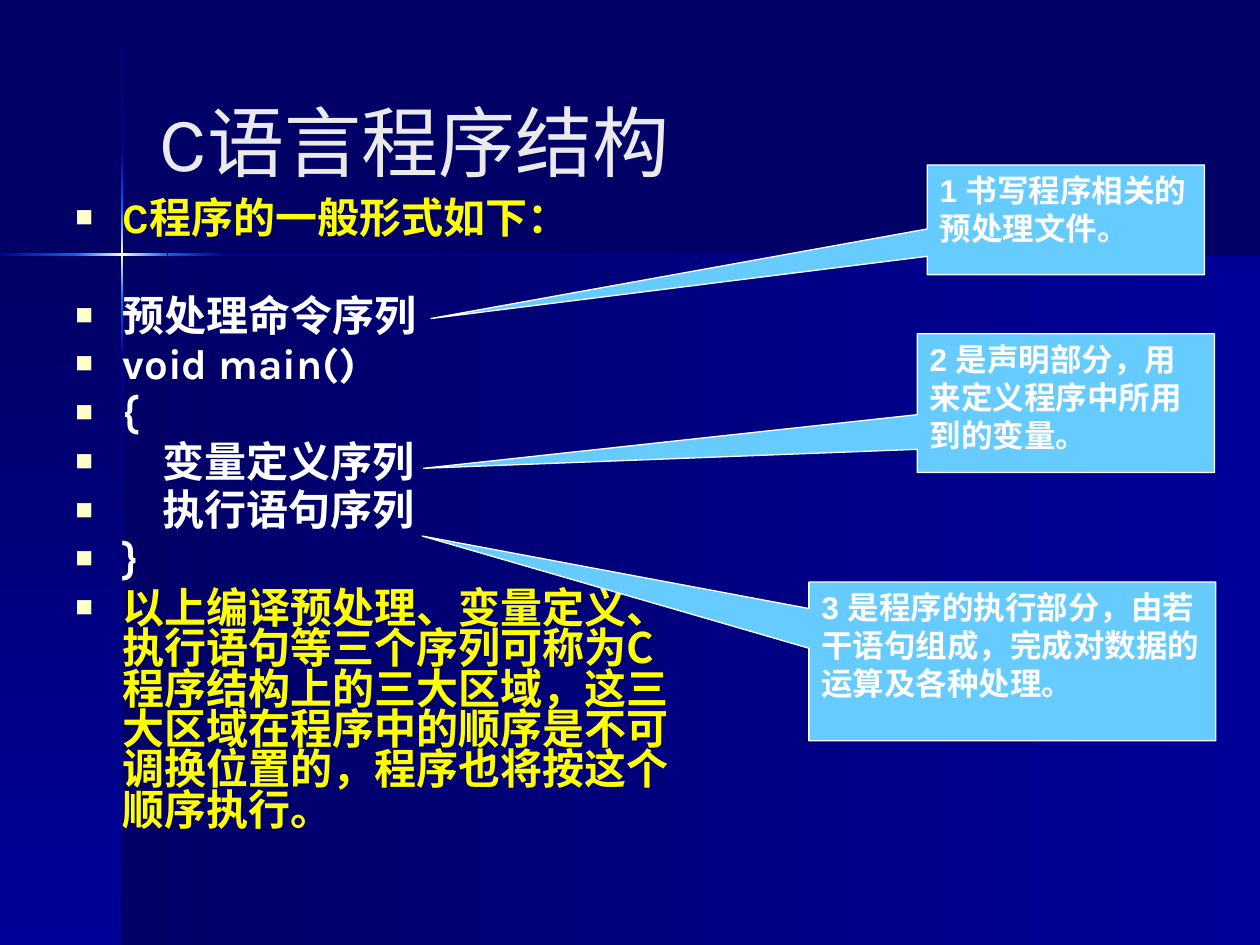
import pptx
import pptx.dml.color
import pptx.enum.shapes
import pptx.enum.text
import pptx.oxml.ns
import pptx.util
import lxml.etree

qn = pptx.oxml.ns.qn
SHAPES = pptx.enum.shapes.MSO_SHAPE
ANCHOR = pptx.enum.text.MSO_ANCHOR
NAVY, BLUE, BRIGHT, CREAM = "000066", "000099", "0066FF", "FFFFCC"
WHITE, YELLOW, SKY, SILVER = "FFFFFF", "FFFF00", "66CCFF", "EAEAEA"


def colour(value):
    return pptx.dml.color.RGBColor.from_string(value)


def write(frame, text, size=18, font="Arial", color=WHITE, bold=False,
          before=0, spacing=1.0, indent=0, bullet=None):
    para = frame.paragraphs[0]
    if para.runs:
        para = frame.add_paragraph()
    para.alignment = pptx.enum.text.PP_ALIGN.LEFT
    para.line_spacing = spacing
    para.space_before = pptx.util.Pt(before)
    span = para.add_run()
    span.text = text
    span.font.size = pptx.util.Pt(size)
    span.font.name = font
    span.font.bold = bold
    span.font.color.rgb = colour(color)
    if bullet:
        props = para._p.get_or_add_pPr()
        props.set("marL", str(int(indent)))
        props.set("indent", str(-int(indent)))
        tint = lxml.etree.SubElement(props, qn("a:buClr"))
        lxml.etree.SubElement(tint, qn("a:srgbClr"), val=CREAM)
        lxml.etree.SubElement(props, qn("a:buSzPct"), val="70000")
        lxml.etree.SubElement(props, qn("a:buFont"), typeface="Arial")
        lxml.etree.SubElement(props, qn("a:buChar"), char=bullet)


deck = pptx.Presentation()
deck.slide_width = pptx.util.Inches(10)
deck.slide_height = pptx.util.Inches(7.5)
page = deck.slides.add_slide(deck.slide_layouts[6])
page.background.fill.solid()
page.background.fill.fore_color.rgb = colour(NAVY)

# Grid of 100 columns by 75 rows
column = deck.slide_width / 100
row = deck.slide_height / 75
cross_x, cross_y, thick = 9.6, 20.1, 0.2

# Background panels and the glowing cross: left, top, width, height, downward, colours
bands = [
    (9.7, 20.2, 90.3, 54.8, False, (NAVY, BLUE)),
    (0, 20.2, 9.7, 54.8, True, (NAVY, BLUE)),
]
vertical = [
    (0.1, 12.1, (NAVY, BLUE)),
    (28.2, 75, (BLUE, NAVY)),
    (23.8, 28.2, (BRIGHT, BLUE)),
    (12.1, 16.5, (BLUE, BRIGHT)),
    (16.5, 23.8, (BRIGHT, CREAM, BRIGHT)),
]
horizontal = [
    (17.7, 100, (BLUE, NAVY)),
    (0, 6.1, (BLUE, BRIGHT)),
    (13.3, 17.7, (BRIGHT, BLUE)),
    (6, 13.3, (BRIGHT, CREAM, BRIGHT)),
]
bands += [(cross_x, start, thick, end - start, True, tones) for start, end, tones in vertical]
bands += [(start, cross_y, end - start, thick, False, tones) for start, end, tones in horizontal]

for left, top, width, height, downward, tones in bands:
    band = page.shapes.add_shape(SHAPES.RECTANGLE, int(left * column), int(top * row),
                                 int(width * column), int(height * row))
    band.shadow.inherit = False
    band.line.fill.background()
    band.fill.gradient()
    band.fill.gradient_angle = 270 if downward else 0
    stops = band._element.spPr.find(".//" + qn("a:gsLst"))
    for stop in list(stops):
        stops.remove(stop)
    for number, tone in enumerate(tones):
        share = 100000 * number // (len(tones) - 1)
        stop = lxml.etree.SubElement(stops, qn("a:gs"), pos=str(share))
        lxml.etree.SubElement(stop, qn("a:srgbClr"), val=tone)

# Title
title = page.shapes.add_textbox(int(11.7 * column), int(3.3 * row),
                                int(82.5 * column), int(15.7 * row))
title.text_frame.word_wrap = True
title.text_frame.vertical_anchor = ANCHOR.MIDDLE
write(title.text_frame, "C语言程序结构", size=44, font="Karla", color=SILVER)

# Bulleted outline: text, colour, font, space before, text indent in columns
body = page.shapes.add_textbox(int(5 * column), int(15.5 * row),
                               int(49.7 * column), int(51.2 * row))
body.text_frame.word_wrap = True
near, deep = 3.75, 6.95
gap, wide_gap = 4.8, 32.6
outline = [
    ("C程序的一般形式如下：", YELLOW, "Karla", gap, near),
    ("预处理命令序列", WHITE, "Karla", wide_gap, near),
    ("void main()", WHITE, "Karla", gap, near),
    ("{", WHITE, "Karla", gap, near),
    ("变量定义序列", WHITE, "Karla", gap, deep),
    ("执行语句序列", WHITE, "Karla", gap, deep),
    ("}", WHITE, "Karla", gap, near),
    ("以上编译预处理、变量定义、执行语句等三个序列可称为C程序结构上的三大区域，"
     "这三大区域在程序中的顺序是不可调换位置的，程序也将按这个顺序执行。",
     YELLOW, "Noto Sans CJK JP", gap, near),
]
for text, color, font, before, indent in outline:
    write(body.text_frame, text, size=24, font=font, color=color, bold=True,
          before=before, spacing=0.8, indent=indent * column, bullet="■")

# Callouts: left, top, width, height, pointer tip, text
callouts = [
    (73.6, 13.1, 22, 8.7, (-2.29, 0.9), "1 书写程序相关的预处理文件。"),
    (72.8, 26.5, 23.6, 11, (-2.16, 0.47), "2 是声明部分，用来定义程序中所用到的变量。"),
    (64.2, 46.2, 32.3, 12.6, (-1.45, -0.79),
     "3 是程序的执行部分，由若干语句组成，完成对数据的运算及各种处理。"),
]
for left, top, width, height, tip, text in callouts:
    callout = page.shapes.add_shape(SHAPES.RECTANGULAR_CALLOUT, int(left * column),
                                    int(top * row), int(width * column), int(height * row))
    callout.adjustments[0], callout.adjustments[1] = tip
    callout.shadow.inherit = False
    callout.fill.solid()
    callout.fill.fore_color.rgb = colour(SKY)
    callout.line.color.rgb = colour(WHITE)
    callout.line.width = pptx.util.Pt(0.75)
    callout.text_frame.word_wrap = True
    callout.text_frame.vertical_anchor = ANCHOR.TOP
    write(callout.text_frame, text, bold=True)

deck.save("out.pptx")
